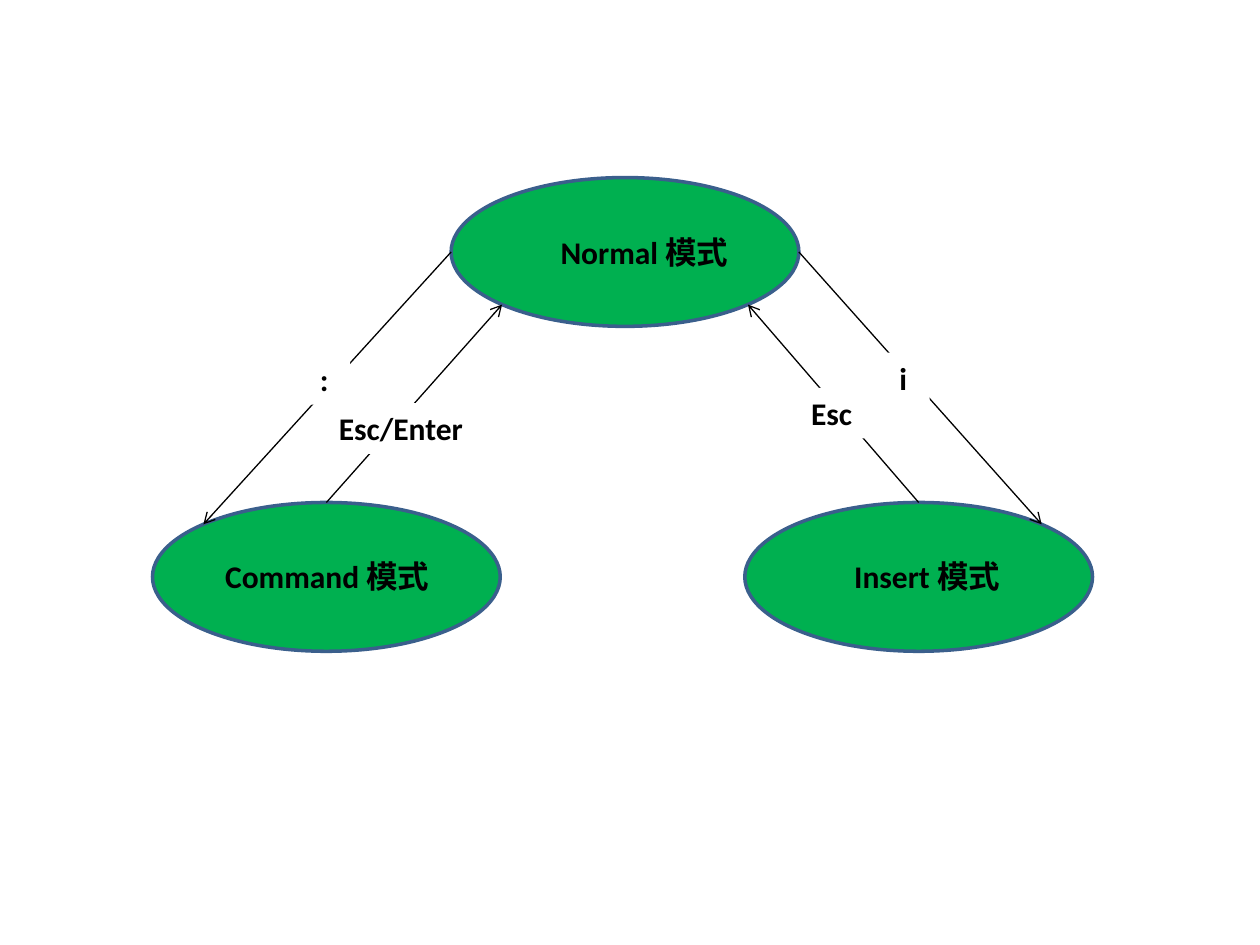
"""Build a slide showing the switches between three editor modes."""
import math
from dataclasses import dataclass
from typing import Optional

from lxml import etree
from pptx import Presentation
from pptx import util as u
from pptx.dml.color import RGBColor
from pptx.enum import shapes, text
from pptx.oxml import ns

COLOURS = {"mode": "00B050", "outline": "3A5F8C", "ink": "000000", "paper": "FFFFFF"}
FONT_FORMAT = {"name": "Calibri", "size": u.Pt(18), "bold": True}
FRAME_FORMAT = {"word_wrap": True, "auto_size": text.MSO_AUTO_SIZE.SHAPE_TO_FIT_TEXT}
MODE_WIDTH, MODE_HEIGHT, TEXT_HEIGHT = 7.01, 3.0, 1.02


@dataclass
class Label:
    """A text and its place, in centimetres."""
    words: str
    left: float
    top: float
    width: float


@dataclass
class Mode:
    """An ellipse around a centre, in centimetres, with its caption."""
    x: float
    y: float
    caption: Label

    def rim(self, degrees: float) -> tuple[u.Cm, u.Cm]:
        """Return the point on the outline, clockwise from the right end."""
        angle = math.radians(degrees)
        return (u.Cm(self.x + MODE_WIDTH / 2 * math.cos(angle)),
                u.Cm(self.y + MODE_HEIGHT / 2 * math.sin(angle)))


@dataclass
class Switch:
    """An arrow from one mode's rim to another's, with the key pressed."""
    source: Mode
    source_angle: float
    target: Mode
    target_angle: float
    key: Label


def colour(name: str) -> RGBColor:
    """Look up a named colour."""
    return RGBColor.from_string(COLOURS[name])


def apply_format(target, values: dict) -> None:
    """Set every attribute listed in values."""
    for name, value in values.items():
        setattr(target, name, value)


def draw_label(slide, label: Label, fill: Optional[str] = None) -> None:
    """Add a text box, filled if a colour is named."""
    box = slide.shapes.add_textbox(u.Cm(label.left), u.Cm(label.top),
                                   u.Cm(label.width), u.Cm(TEXT_HEIGHT))
    if fill:
        box.fill.solid()
        box.fill.fore_color.rgb = colour(fill)
    apply_format(box.text_frame, FRAME_FORMAT)
    run = box.text_frame.paragraphs[0].add_run()
    run.text = label.words
    apply_format(run.font, FONT_FORMAT)
    run.font.color.rgb = colour("ink")


def draw_mode(slide, mode: Mode) -> None:
    """Add a mode's ellipse and caption."""
    ellipse = slide.shapes.add_shape(
        shapes.MSO_SHAPE.OVAL, u.Cm(mode.x - MODE_WIDTH / 2),
        u.Cm(mode.y - MODE_HEIGHT / 2), u.Cm(MODE_WIDTH), u.Cm(MODE_HEIGHT))
    ellipse.shadow.inherit = False
    ellipse.fill.solid()
    ellipse.fill.fore_color.rgb = colour("mode")
    ellipse.line.color.rgb = colour("outline")
    ellipse.line.width = u.Pt(2)
    draw_label(slide, mode.caption)


def draw_arrow(slide, switch: Switch) -> None:
    """Add a thin line with an open arrowhead at the target."""
    arrow = slide.shapes.add_connector(
        shapes.MSO_CONNECTOR.STRAIGHT, *switch.source.rim(switch.source_angle),
        *switch.target.rim(switch.target_angle))
    arrow.line.color.rgb = colour("ink")
    arrow.line.width = u.Pt(0.75)
    etree.SubElement(arrow.line._get_or_add_ln(), ns.qn("a:tailEnd"), type="arrow")
    etree.SubElement(arrow._element.spPr, ns.qn("a:effectLst"))


def main() -> None:
    """Build and save the presentation."""
    presentation = Presentation()
    presentation.slide_width, presentation.slide_height = u.Cm(25.4), u.Cm(19.05)
    slide = presentation.slides.add_slide(presentation.slide_layouts[6])

    normal = Mode(12.6, 5.08, Label("Normal 模式", 11.05, 4.57, 3.94))
    command = Mode(6.58, 11.63, Label("Command 模式", 4.29, 11.1, 4.67))
    insert = Mode(18.52, 11.63, Label("Insert 模式", 16.97, 11.1, 3.48))
    switches = [
        Switch(normal, 0, insert, 315, Label("i", 17.88, 7.11, 0.86)),
        Switch(insert, 270, normal, 45, Label("Esc", 16.1, 7.82, 1.52)),
        Switch(normal, 180, command, 225, Label(":", 6.2, 7.14, 0.86)),
        Switch(command, 270, normal, 135, Label("Esc/Enter", 6.58, 8.13, 3.2)),
    ]

    for mode in (normal, command, insert):
        draw_mode(slide, mode)
    for switch in switches:
        draw_arrow(slide, switch)
    for switch in switches:
        draw_label(slide, switch.key, "paper")
    presentation.save("out.pptx")


main()
